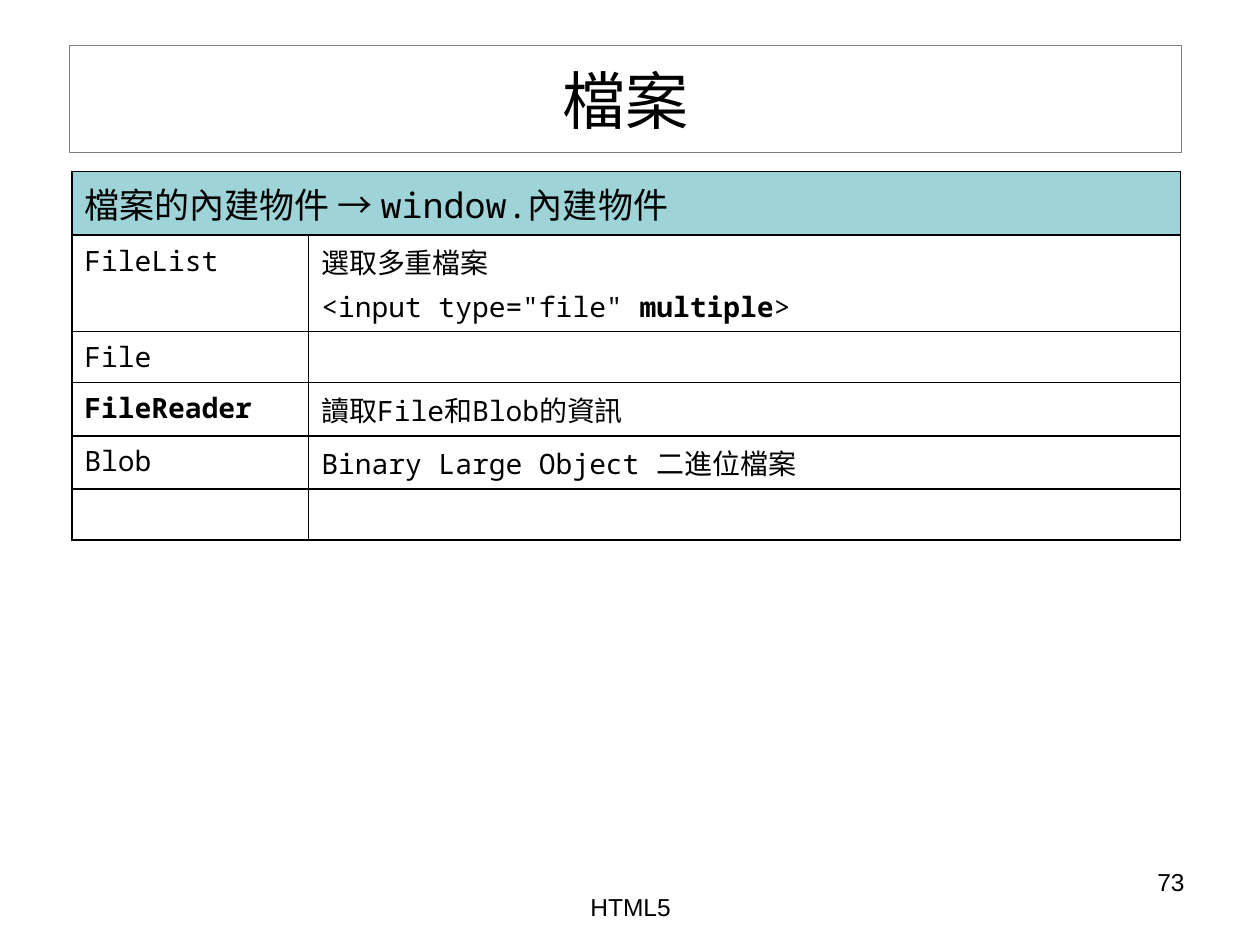
from lxml.etree import SubElement
from pptx import Presentation
from pptx.dml.color import RGBColor
from pptx.enum.text import MSO_ANCHOR, PP_ALIGN
from pptx.oxml.ns import qn
from pptx.util import Inches, Pt

BLACK = RGBColor(0x00, 0x00, 0x00)
GRAY = RGBColor(0x7F, 0x7F, 0x7F)
TEAL = RGBColor(0x9E, 0xD3, 0xD7)
SANS, MONO = "Arial", "Noto Sans Mono"

COL_WIDTHS = [1.88, 6.92]
ROW_HEIGHTS = [0.44, 0.69, 0.37, 0.4, 0.4, 0.4]
HEADER = "檔案的內建物件 → window.內建物件"
# Each cell is a list of paragraphs, each paragraph a list of (text, bold) runs.
ROWS = [
    ([[("FileList", False)]],
     [[("選取多重檔案", False)],
      [('<input type="file" ', False), ("multiple", True), (">", False)]]),
    ([[("File", False)]], []),
    ([[("FileReader", True)]], [[("讀取File和Blob的資訊", False)]]),
    ([[("Blob", False)]], [[("Binary Large Object 二進位檔案", False)]]),
    ([], []),
]


def add_run(p, text, size, font, bold=False):
    r = p.add_run()
    r.text = text
    r.font.size = Pt(size)
    r.font.name = font
    r.font.bold = bold
    r.font.color.rgb = BLACK


def set_borders(cell):
    tc_pr = cell._tc.get_or_add_tcPr()
    for side in ("lnL", "lnR", "lnT", "lnB"):
        ln = SubElement(tc_pr, qn(f"a:{side}"), w=str(Pt(1)))
        fill = SubElement(ln, qn("a:solidFill"))
        SubElement(fill, qn("a:srgbClr"), val=str(BLACK))


def fill_cell(cell, paragraphs, size):
    tf = cell.text_frame
    for i, runs in enumerate(paragraphs):
        p = tf.add_paragraph() if i else tf.paragraphs[0]
        if i:
            p.space_before = Pt(3.2)
        for text, bold in runs:
            add_run(p, text, size, MONO, bold)


def add_title(s, text, box):
    sp = s.shapes.title
    sp.left, sp.top, sp.width, sp.height = map(Inches, box)
    sp.line.color.rgb = GRAY
    sp.line.width = Pt(0.75)
    tf = sp.text_frame
    tf.vertical_anchor = MSO_ANCHOR.MIDDLE
    p = tf.paragraphs[0]
    p.alignment = PP_ALIGN.CENTER
    add_run(p, text, 36, SANS)


def add_object_table(s, left, top):
    frame = s.shapes.add_table(
        len(ROW_HEIGHTS), len(COL_WIDTHS), Inches(left), Inches(top),
        Inches(sum(COL_WIDTHS)), Inches(sum(ROW_HEIGHTS)))
    table = frame.table
    table.first_row = table.horz_banding = False
    for column, width in zip(table.columns, COL_WIDTHS):
        column.width = Inches(width)
    for row, height in zip(table.rows, ROW_HEIGHTS):
        row.height = Inches(height)
    for cell in table.iter_cells():
        set_borders(cell)
        cell.fill.background()

    header = table.cell(0, 0)
    header.merge(table.cell(0, 1))
    header.fill.solid()
    header.fill.fore_color.rgb = TEAL
    fill_cell(header, [[(HEADER, False)]], 20)
    for i, row in enumerate(ROWS, start=1):
        for j, paragraphs in enumerate(row):
            fill_cell(table.cell(i, j), paragraphs, 16)


def add_footer(s, text, box, alignment):
    tf = s.shapes.add_textbox(*map(Inches, box)).text_frame
    tf.word_wrap = True
    p = tf.paragraphs[0]
    p.alignment = alignment
    add_run(p, text, 14, SANS)


def main():
    prs = Presentation()
    prs.slide_width, prs.slide_height = Inches(10), Inches(7.5)
    s = prs.slides.add_slide(prs.slide_layouts[5])
    add_object_table(s, 0.57, 1.36)
    add_title(s, "檔案", (0.55, 0.36, 8.83, 0.85))
    add_footer(s, "73", (7.17, 6.83, 2.33, 0.52), PP_ALIGN.RIGHT)
    add_footer(s, "HTML5", (3.42, 7.03, 3.17, 0.5), PP_ALIGN.CENTER)
    prs.save("out.pptx")


if __name__ == "__main__":
    main()
